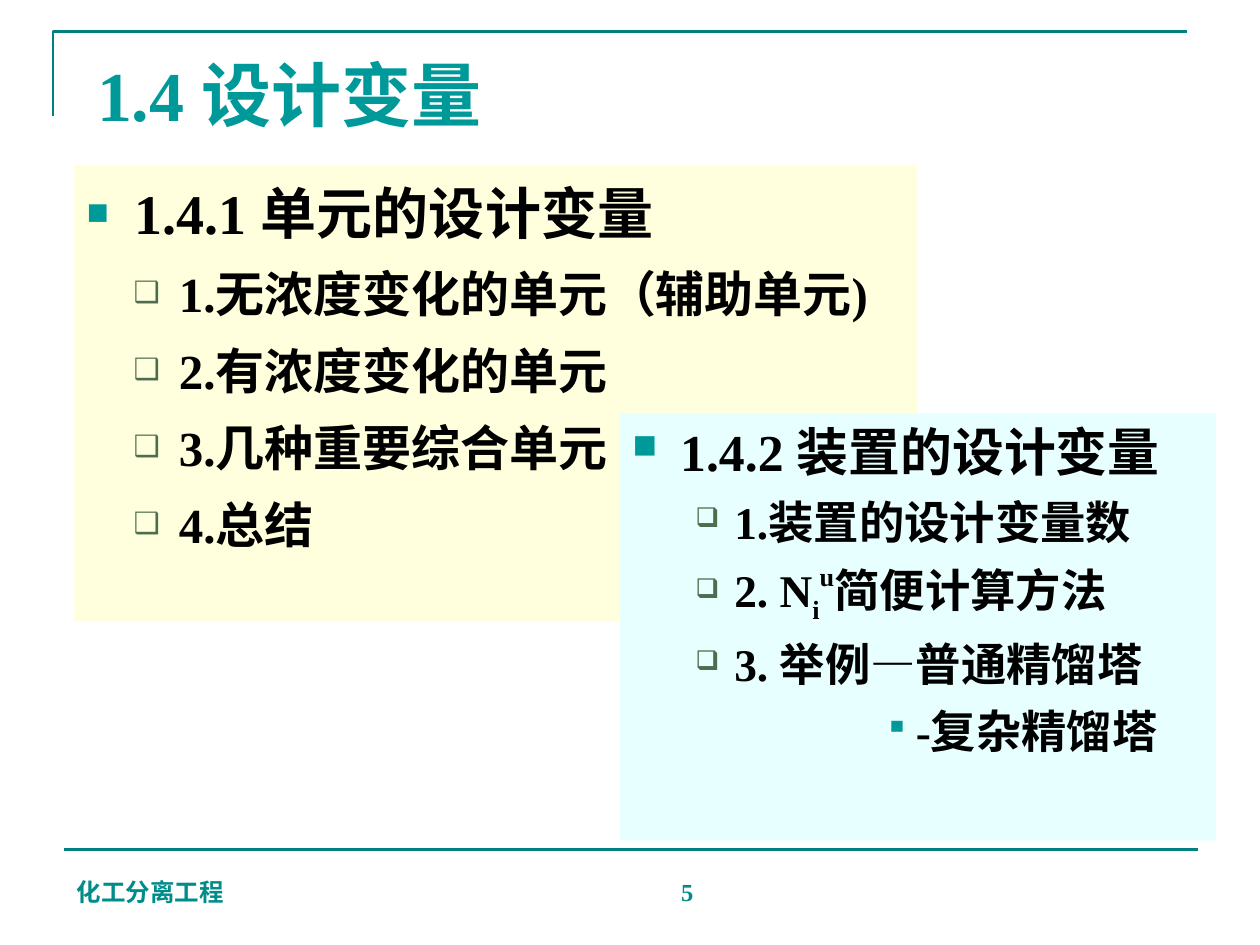
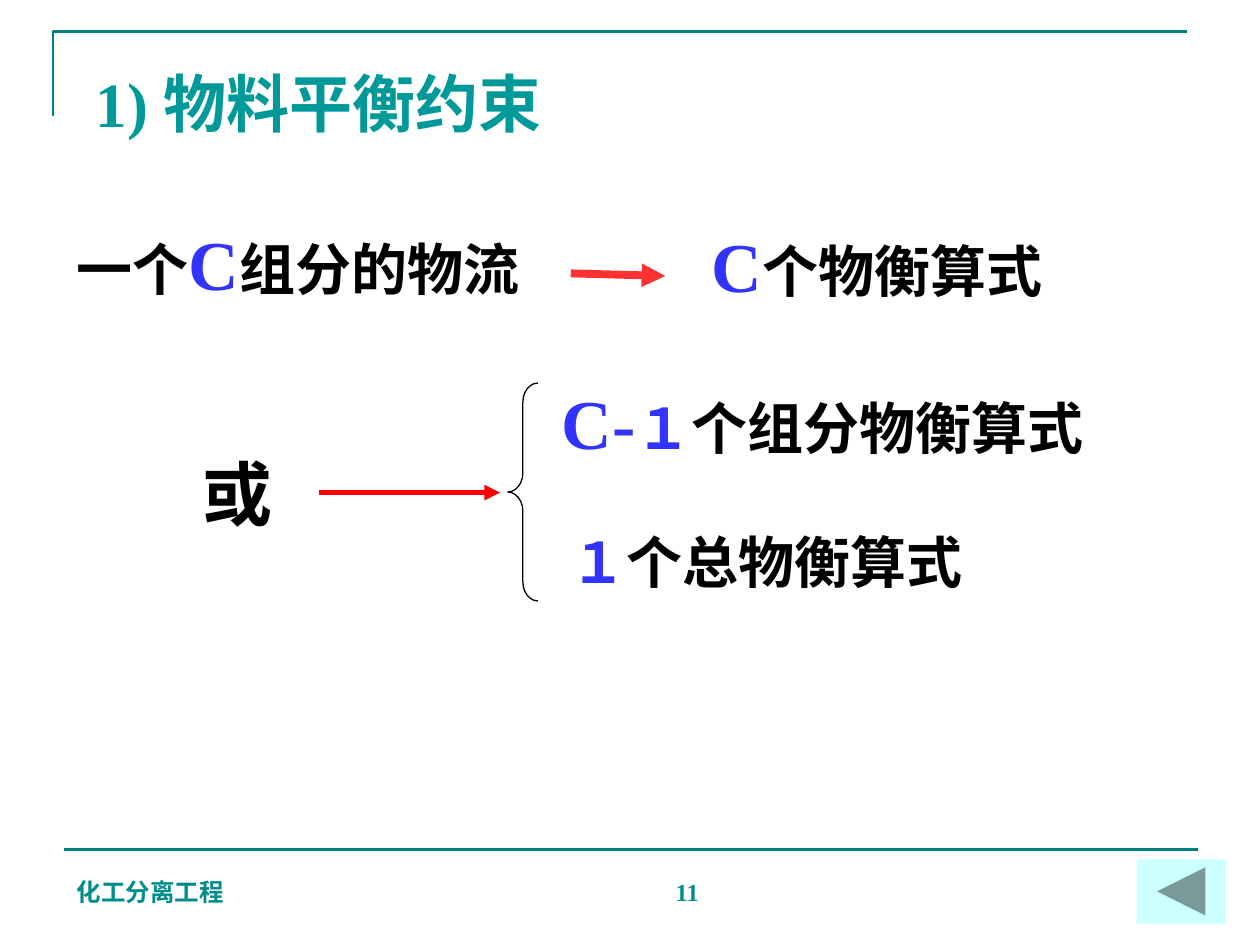
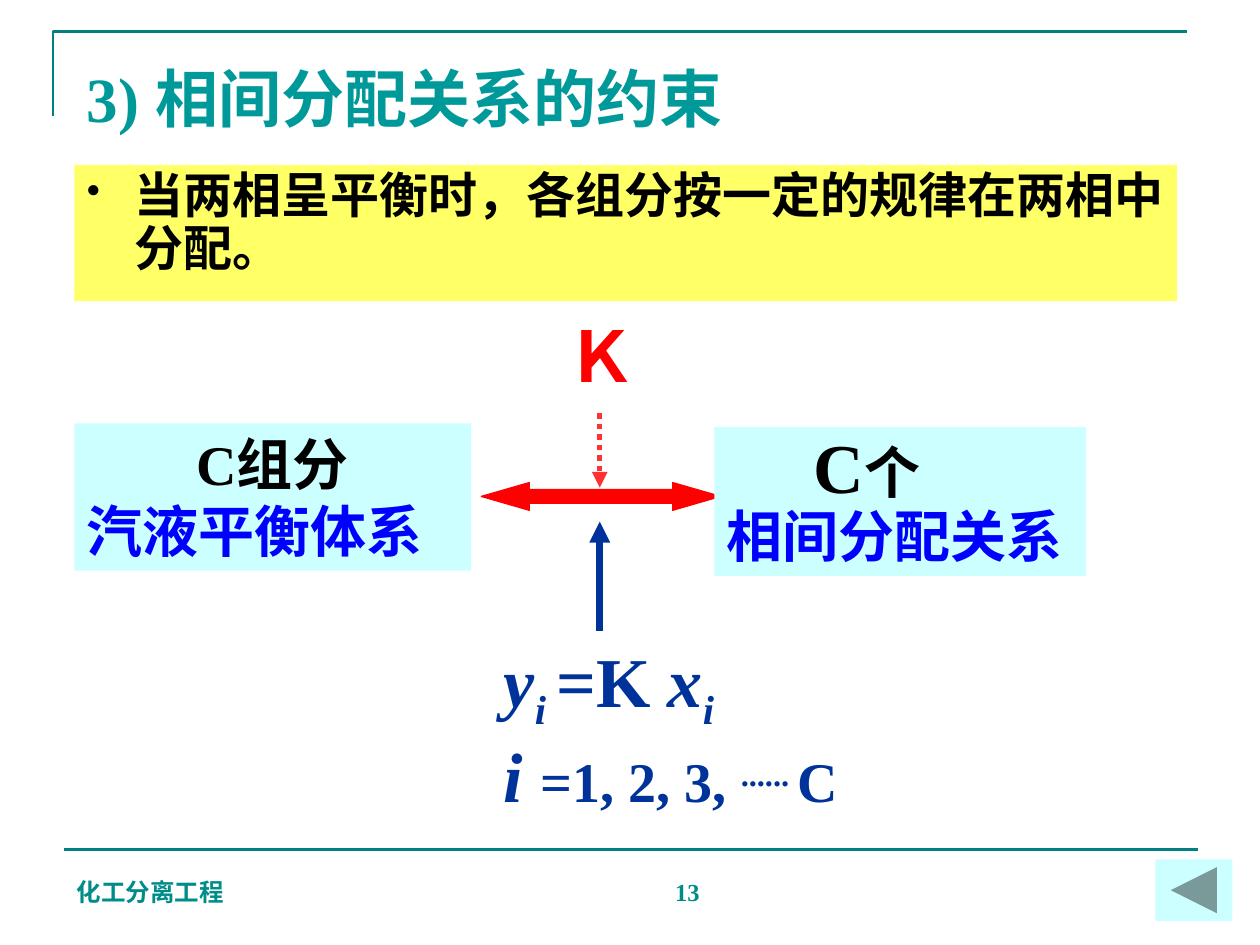
"""Build three slides on design variables in separation engineering."""
from lxml import etree
from pptx import Presentation
from pptx.dml.color import RGBColor
from pptx.enum import dml, shapes, text
from pptx.oxml import ns
from pptx.util import Inches, Pt

LATIN, HAN = "Times New Roman", "Noto Sans CJK SC"
BLACK = RGBColor(0, 0, 0)
TEAL = RGBColor(0x00, 0x99, 0x99)
RULE = RGBColor(0x00, 0x80, 0x80)
FOOT = RGBColor(0x00, 0x8D, 0x8A)
MOSS = RGBColor(0x4C, 0x6D, 0x4E)
CREAM = RGBColor(0xFF, 0xFF, 0xDD)
ICE = RGBColor(0xE7, 0xFF, 0xFF)
AQUA = RGBColor(0xCC, 0xFF, 0xFF)
LEMON = RGBColor(0xFF, 0xFF, 0x66)
RED = RGBColor(0xFF, 0, 0)
CORAL = RGBColor(0xFE, 0x32, 0x32)
VIOLET = RGBColor(0x33, 0x33, 0xFF)
BLUE = RGBColor(0, 0, 0xFF)
NAVY = RGBColor(0x00, 0x33, 0x99)
KIND = shapes.MSO_SHAPE
ALIGN = text.PP_ALIGN

COURSE = "化工分离工程"
TITLES = [
    ("1.4 设计变量", 40, (0.67, 0.36, 3.62, 0.71), 5),
    ("1) 物料平衡约束", 36, (0.66, 0.46, 4.58, 0.69), 11),
    ("3) 相间分配关系的约束", 36, (0.59, 0.42, 5.59, 0.73), 13),
]

HEAD = dict(mar=0.38, ind=-0.38, sb=8, bu=("■", TEAL, 65))
ITEM = dict(lvl=1, mar=0.73, ind=-0.36, sb=7, bu=("❑", MOSS, 60))
STEP = dict(ITEM, mar=0.81, ind=-0.31)
SUB = dict(lvl=4, mar=2.25, ind=-0.25, sb=7, bu=("▪", TEAL, 75))
NOTE = dict(mar=0.38, ind=-0.38, sb=7, ls=0.9, al=ALIGN.JUSTIFY, bu=("•", BLACK, 80))

UNITS = [(dict(HEAD, ls=1.1), [("1.4.1 单元的设计变量", 32)])] + [
    (dict(ITEM, ls=1.1), [(line, 28)]) for line in (
        "1.无浓度变化的单元（辅助单元)", "2.有浓度变化的单元",
        "3.几种重要综合单元", "4.总结")]
PLANT = [
    (HEAD, [("1.4.2 装置的设计变量", 29.6)]),
    (STEP, [("1.装置的设计变量数", 25.9)]),
    (STEP, [("2. N", 25.9), ("i", 25.9, BLACK, -25), ("u", 25.9, BLACK, 46),
            ("简便计算方法", 25.9)]),
    (STEP, [("3. 举例—普通精馏塔", 25.9)]),
    (SUB, [("-复杂精馏塔", 25.9)]),
]
FLOWS = [
    ((0.51, 1.7, 4.17, 0.77), [("一个", 32), ("C", 40, VIOLET), ("组分的物流", 32)]),
    ((5.55, 1.72, 3.78, 0.77), [("C", 40, VIOLET), ("个物衡算式", 32)]),
    ((1.51, 3.53, 0.86, 0.77), [("或", 40)]),
    ((4.36, 2.96, 4.48, 0.77), [("C-", 40, VIOLET), ("１", 32, VIOLET), ("个组分物衡算式", 32)]),
    ((4.43, 4.14, 3.31, 0.64), [("１", 32, VIOLET), ("个总物衡算式", 32)]),
]
RULES = [(NOTE, [("当两相呈平衡时，各组分按一定的规律在两相中分配。", 28)])]
PHASES = [
    ((0.59, 3.36, 3.15, 1.17), [
        (dict(al=ALIGN.CENTER), [("C组分", 32)]),
        ({}, [("汽液平衡体系", 32, BLUE)])]),
    ((5.67, 3.39, 2.95, 1.18), [
        (dict(mar=0.69, ls=0.9), [("C", 40), ("个", 32)]),
        (dict(ls=0.9), [("相间分配关系", 32, BLUE)])]),
]
LAW = [
    ({}, [("y", 40, NAVY, 0, True), ("i ", 40, NAVY, -25, True), ("=K ", 40, NAVY),
          ("x", 40, NAVY, 0, True), ("i", 40, NAVY, -25, True)]),
    ({}, [("i ", 40, NAVY, 0, True), ("=1, 2, 3, ", 32, NAVY),
          ("...... ", 32, NAVY, 30), ("C", 32, NAVY)]),
]


def add_run(para, words, size, color=BLACK, base=0, slant=False):
    run = para.add_run()
    run.text = words
    font = run.font
    font.size, font.name, font.bold, font.italic = Pt(size), LATIN, True, slant
    font.color.rgb = color
    props = run._r.get_or_add_rPr()
    etree.SubElement(props, ns.qn("a:ea")).set("typeface", HAN)
    if base:
        props.set("baseline", str(base * 1000))


def add_mark(props, char, color, size):
    tint = etree.SubElement(props, ns.qn("a:buClr"))
    etree.SubElement(tint, ns.qn("a:srgbClr")).set("val", str(color))
    etree.SubElement(props, ns.qn("a:buSzPct")).set("val", str(size * 1000))
    etree.SubElement(props, ns.qn("a:buChar")).set("char", char)


def write(shape, paras, wrap=True, anchor=text.MSO_ANCHOR.TOP):
    frame = shape.text_frame
    frame.auto_size = text.MSO_AUTO_SIZE.NONE
    frame.word_wrap, frame.vertical_anchor = wrap, anchor
    for i, (form, runs) in enumerate(paras):
        para = frame.add_paragraph() if i else frame.paragraphs[0]
        para.level = form.get("lvl", 0)
        para.alignment = form.get("al", ALIGN.LEFT)
        para.line_spacing = form.get("ls", 1.0)
        para.space_before = Pt(form.get("sb", 0))
        props = para._p.get_or_add_pPr()
        props.set("marL", str(Inches(form.get("mar", 0))))
        props.set("indent", str(Inches(form.get("ind", 0))))
        if "bu" in form:
            add_mark(props, *form["bu"])
        for run in runs:
            add_run(para, *run)


def place(shape, box):
    shape.left, shape.top, shape.width, shape.height = map(Inches, box)


def add_box(slide, box, paras, **opts):
    write(slide.shapes.add_textbox(*map(Inches, box)), paras, **opts)


def add_form(slide, kind, box, fill=None, line=None, adj=()):
    shape = slide.shapes.add_shape(kind, *map(Inches, box))
    shape.shadow.inherit = False
    if fill is None:
        shape.fill.background()
    else:
        shape.fill.solid()
        shape.fill.fore_color.rgb = fill
    if line is None:
        shape.line.fill.background()
    else:
        shape.line.color.rgb, shape.line.width = line, Pt(0.75)
    for i, value in enumerate(adj):
        shape.adjustments[i] = value
    return shape


def add_panel(slide, box, fill, paras):
    write(add_form(slide, KIND.RECTANGLE, box, fill), paras)


def add_line(slide, ends, color, width, head=True, dash=None):
    link = slide.shapes.add_connector(shapes.MSO_CONNECTOR.STRAIGHT, *map(Inches, ends))
    link.line.color.rgb, link.line.width = color, Pt(width)
    if dash:
        link.line.dash_style = dash
    if head:
        etree.SubElement(link.line._get_or_add_ln(), ns.qn("a:tailEnd")).set("type", "triangle")
    etree.SubElement(link.element.spPr, ns.qn("a:effectLst"))
    return link


def add_frame(deck, slide):
    pen = slide.shapes.build_freeform(Inches(0.42), Inches(0.92), scale=1.0)
    pen.add_line_segments([(Inches(0.42), Inches(0.25)), (Inches(9.42), Inches(0.25))], close=False)
    edge = pen.convert_to_shape()
    edge.shadow.inherit = False
    edge.fill.background()
    edge.line.color.rgb, edge.line.width = RULE, Pt(1.5)
    base = add_line(slide, (0.51, 6.74, 9.51, 6.74), RULE, 1.5, head=False)
    for num, part in enumerate((edge, base), 20):
        part.element.xpath(".//p:cNvPr")[0].set("id", str(num))
        deck.slide_master.shapes.element.append(part.element)


def add_page(deck, layout, title, size, box, num):
    slide = deck.slides.add_slide(deck.slide_layouts[layout])
    place(slide.shapes.title, box)
    write(slide.shapes.title, [({}, [(title, size, TEAL)])])
    low = text.MSO_ANCHOR.BOTTOM
    add_box(slide, (0.51, 6.74, 3.17, 0.5), [({}, [(COURSE, 14, FOOT)])], anchor=low)
    add_box(slide, (4.29, 6.74, 2.33, 0.5),
            [(dict(al=ALIGN.CENTER), [(str(num), 14, FOOT)])], anchor=low)
    return slide


def fill_list(slide):
    body = slide.placeholders[1]
    place(body, (0.59, 1.31, 6.69, 3.62))
    body.fill.solid()
    body.fill.fore_color.rgb = CREAM
    write(body, UNITS)
    add_panel(slide, (4.92, 3.28, 4.73, 3.39), ICE, PLANT)


def fill_mass(slide):
    for box, runs in FLOWS:
        add_box(slide, box, [({}, runs)], wrap=False)
    add_line(slide, (4.53, 2.17, 5.28, 2.19), CORAL, 4.5)
    add_line(slide, (2.53, 3.91, 3.97, 3.91), RED, 3)
    add_form(slide, KIND.LEFT_BRACE, (4.03, 3.04, 0.24, 1.73), line=BLACK, adj=(0.63, 0.5))
    add_form(slide, KIND.ACTION_BUTTON_BACK_OR_PREVIOUS, (9.02, 6.82, 0.71, 0.51), AQUA)


def fill_phase(slide):
    add_panel(slide, (0.59, 1.31, 8.75, 1.08), LEMON, RULES)
    add_form(slide, KIND.LEFT_RIGHT_ARROW, (3.82, 3.83, 1.9, 0.22), RED, RED, (0.5, 1.73))
    for box, paras in PHASES:
        add_panel(slide, box, AQUA, paras)
    add_box(slide, (4.4, 2.43, 0.75, 0.77), [({}, [("Ｋ", 40, RED)])], wrap=False)
    add_line(slide, (4.76, 3.28, 4.76, 3.87), CORAL, 3, dash=dml.MSO_LINE.ROUND_DOT)
    add_box(slide, (3.9, 5.01, 3.86, 1.53), LAW)
    add_line(slide, (4.76, 5.01, 4.76, 4.14), NAVY, 4)
    add_form(slide, KIND.ACTION_BUTTON_BACK_OR_PREVIOUS, (9.17, 6.82, 0.61, 0.49), AQUA)


def main():
    deck = Presentation()
    deck.slide_width, deck.slide_height = Inches(10), Inches(7.5)
    fills = (fill_list, fill_mass, fill_phase)
    for layout, head, fill in zip((1, 5, 5), TITLES, fills):
        fill(add_page(deck, layout, *head))
    add_frame(deck, deck.slides[0])
    deck.save("out.pptx")


if __name__ == "__main__":
    main()
